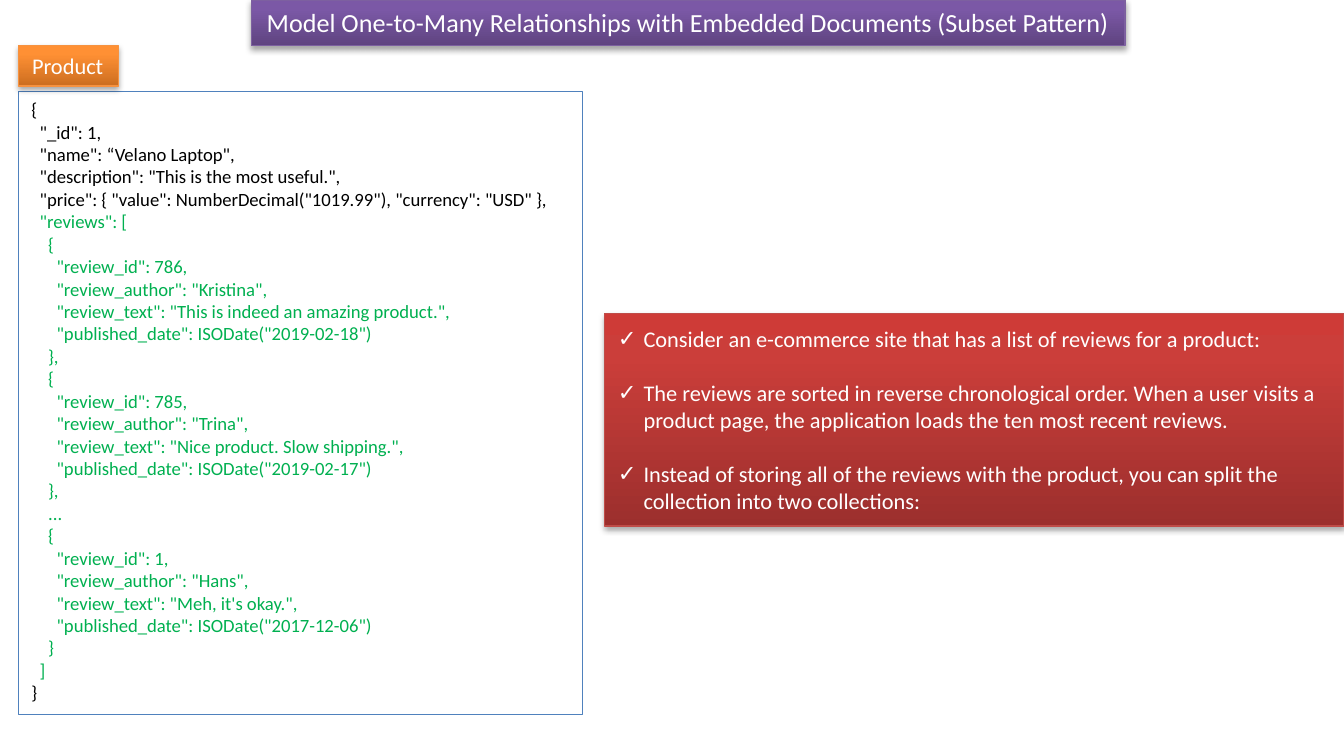
from copy import deepcopy

from lxml import etree
from pptx import Presentation
from pptx.dml.color import RGBColor
from pptx.enum.shapes import MSO_SHAPE
from pptx.enum.text import MSO_ANCHOR, MSO_AUTO_SIZE, PP_ALIGN
from pptx.oxml.ns import qn
from pptx.util import Inches, Pt

RECTANGLE = MSO_SHAPE.RECTANGLE
TOP, MIDDLE = MSO_ANCHOR.TOP, MSO_ANCHOR.MIDDLE
GROW, FIXED = MSO_AUTO_SIZE.SHAPE_TO_FIT_TEXT, MSO_AUTO_SIZE.NONE
LEFT, CENTER = PP_ALIGN.LEFT, PP_ALIGN.CENTER

# Grid: 100 columns by 55 rows
CELL = Inches(0.1)
COLUMNS, ROWS = 100, 55
FONT = "Calibri"
BLACK, WHITE, GREEN, BLUE = "000000", "FFFFFF", "00B050", "4F81BD"

# Gradient stops from bottom to top, then the outline
STOP_POSITIONS = (0, 0.8, 1)
PURPLE = (("5F4480", "7B58A6", "7C57A8"), "7D60A0")
ORANGE = (("CC6E20", "FF9034", "FF9136"), "F69240")
RED = (("9C2F2D", "CB3E3A", "CE3B37"), "BF4C48")

TITLE = "Model One-to-Many Relationships with Embedded Documents (Subset Pattern)"
PRODUCT_START = """{
  "_id": 1,
  "name": “Velano Laptop",
  "description": "This is the most useful.",
  "price": { "value": NumberDecimal("1019.99"), "currency": "USD" },"""
REVIEWS = """  "reviews": [
    {
      "review_id": 786,
      "review_author": "Kristina",
      "review_text": "This is indeed an amazing product.",
      "published_date": ISODate("2019-02-18")
    },
    {
      "review_id": 785,
      "review_author": "Trina",
      "review_text": "Nice product. Slow shipping.",
      "published_date": ISODate("2019-02-17")
    },
    ...
    {
      "review_id": 1,
      "review_author": "Hans",
      "review_text": "Meh, it's okay.",
      "published_date": ISODate("2017-12-06")
    }
  ]"""
PRODUCT_END = "}"
POINTS = (
    "Consider an e-commerce site that has a list of reviews for a product:",
    "The reviews are sorted in reverse chronological order. When a user visits a "
    "product page, the application loads the ten most recent reviews.",
    "Instead of storing all of the reviews with the product, you can split the "
    "collection into two collections:",
)


def rgb(value):
    return RGBColor.from_string(value)


def add_panel(slide, box, line, width, anchor=TOP, size=GROW, wrap=True):
    """Place an outlined rectangle, its box given in grid cells."""
    panel = slide.shapes.add_shape(RECTANGLE, *(round(n * CELL) for n in box))
    panel.shadow.inherit = False
    panel.line.color.rgb = rgb(line)
    panel.line.width = Pt(width)
    frame = panel.text_frame
    frame.vertical_anchor, frame.auto_size, frame.word_wrap = anchor, size, wrap
    return panel


def add_glossy_panel(slide, box, palette, **layout):
    """Place a panel with a vertical gradient and a soft shadow below."""
    colours, line = palette
    panel = add_panel(slide, box, line, 0.75, **layout)
    panel.fill.gradient()
    panel.fill.gradient_angle = 90
    properties = panel._element.spPr
    stops = properties.find(".//" + qn("a:gsLst"))
    stops.append(deepcopy(stops[-1]))
    for stop, position, colour in zip(panel.fill.gradient_stops, STOP_POSITIONS, colours):
        stop.position = position
        stop.color.rgb = rgb(colour)
    shadow = etree.SubElement(
        properties.find(qn("a:effectLst")), qn("a:outerShdw"),
        blurRad=str(Pt(3.1)), dist=str(Pt(1.8)), dir="5400000", rotWithShape="0")
    colour = etree.SubElement(shadow, qn("a:srgbClr"), val=BLACK)
    etree.SubElement(colour, qn("a:alpha"), val="35000")
    return panel


def add_text(frame, text, size=12, colour=WHITE, align=LEFT, bullet=None, gap=0):
    """Write one paragraph, using the empty first one if there is one."""
    first = not frame.text
    paragraph = frame.paragraphs[0] if first else frame.add_paragraph()
    paragraph.alignment = align
    if gap and not first:
        paragraph.space_before = Pt(gap)
    if bullet:
        properties = paragraph._p.get_or_add_pPr()
        properties.set("marL", str(Inches(0.19)))
        properties.set("indent", str(-Inches(0.19)))
        etree.SubElement(properties, qn("a:buFont"), typeface=FONT)
        etree.SubElement(properties, qn("a:buChar"), char=bullet)
    run = paragraph.add_run()
    run.text = text
    run.font.name, run.font.size = FONT, Pt(size)
    run.font.color.rgb = rgb(colour)


def add_product_document(slide, box):
    document = add_panel(slide, box, BLUE, 0.25)
    document.fill.solid()
    document.fill.fore_color.rgb = rgb(WHITE)
    for part, colour in ((PRODUCT_START, BLACK), (REVIEWS, GREEN), (PRODUCT_END, BLACK)):
        for code_line in part.splitlines():
            add_text(document.text_frame, code_line, size=10, colour=colour)


def add_explanation(slide, box):
    explanation = add_glossy_panel(slide, box, RED, anchor=MIDDLE, size=FIXED)
    for point in POINTS:
        add_text(explanation.text_frame, point, bullet="✓", gap=14.6)


def add_collection_label(slide, box):
    label = add_glossy_panel(slide, box, ORANGE, wrap=False)
    add_text(label.text_frame, "Product")


def add_title(slide, box):
    title = add_glossy_panel(slide, box, PURPLE)
    add_text(title.text_frame, TITLE, size=14, align=CENTER)


def main():
    deck = Presentation()
    deck.slide_width, deck.slide_height = COLUMNS * CELL, ROWS * CELL
    slide = deck.slides.add_slide(deck.slide_layouts[6])

    # Boxes are left, top, width, height in grid cells
    add_product_document(slide, (1.35, 6.8, 42, 46.4))
    add_explanation(slide, (45, 23.35, 55, 15.8))
    add_collection_label(slide, (1.4, 3.4, 7.4, 3))
    add_title(slide, (18.7, 0, 65, 3.4))

    deck.save("out.pptx")


if __name__ == "__main__":
    main()
